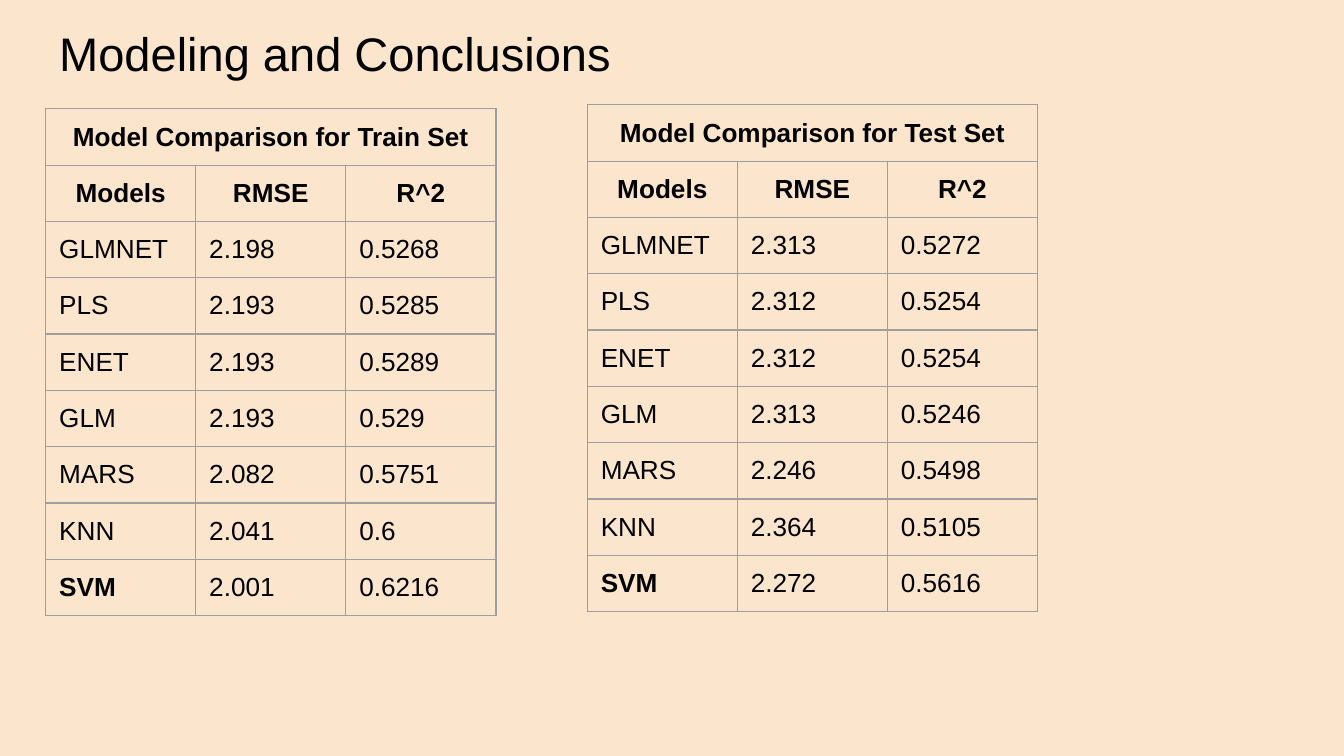
from dataclasses import dataclass

from lxml.etree import SubElement
from pptx import Presentation
from pptx.dml.color import RGBColor
from pptx.enum.shapes import MSO_SHAPE
from pptx.enum.text import MSO_ANCHOR, MSO_AUTO_SIZE, PP_ALIGN
from pptx.oxml.ns import qn
from pptx.util import Inches, Pt


@dataclass(frozen=True)
class Theme:
    font: str = "Arial"
    text: str = "000000"
    backdrop: str = "FCE5CD"
    border: str = "9E9E9E"
    title_size: float = 25.2
    table_size: float = 14
    line_width: float = 0.75


theme = Theme()


def style_paragraph(para, size, bold=False, align=PP_ALIGN.LEFT):
    para.alignment = align
    for span in para.runs:
        span.font.name = theme.font
        span.font.size = Pt(size)
        span.font.bold = bold
        span.font.color.rgb = RGBColor.from_string(theme.text)


def format_cell(cell):
    cell.margin_left = cell.margin_right = Inches(0.1)
    cell.margin_top = cell.margin_bottom = Inches(0.1)
    properties = cell._tc.get_or_add_tcPr()
    for side in ("a:lnL", "a:lnR", "a:lnT", "a:lnB"):
        line = SubElement(properties, qn(side), w=str(Pt(theme.line_width)))
        fill = SubElement(line, qn("a:solidFill"))
        SubElement(fill, qn("a:srgbClr"), val=theme.border)
    cell.fill.background()


# Widescreen page, 16 by 9
deck = Presentation()
deck.slide_width = Inches(10)
deck.slide_height = Inches(10 * 9 / 16)
page = deck.slides.add_slide(deck.slide_layouts[5])

# Full-page backdrop, placed behind the title
backdrop = page.shapes.add_shape(
    MSO_SHAPE.RECTANGLE, 0, 0, deck.slide_width, deck.slide_height)
backdrop.shadow.inherit = False
backdrop.fill.solid()
backdrop.fill.fore_color.rgb = RGBColor.from_string(theme.backdrop)
backdrop.line.color.rgb = RGBColor.from_string(theme.backdrop)
backdrop.line.width = Pt(theme.line_width)
page.shapes.title._element.addprevious(backdrop._element)

# Title
title = page.shapes.title
title.left, title.top = Inches(0.34), Inches(0.08)
title.width, title.height = Inches(9.32), Inches(0.63)
frame = title.text_frame
frame.text = "Modeling and Conclusions"
frame.auto_size = MSO_AUTO_SIZE.NONE
frame.vertical_anchor = MSO_ANCHOR.TOP
frame.margin_left = frame.margin_right = Inches(0.1)
frame.margin_top = frame.margin_bottom = Inches(0.1)
style_paragraph(frame.paragraphs[0], theme.title_size)

# Model scores: heading, left, top, (RMSE, R^2) for each model
models = ["GLMNET", "PLS", "ENET", "GLM", "MARS", "KNN", "SVM"]
headers = ["Models", "RMSE", "R^2"]
best_model = "SVM"
comparisons = [
    ("Model Comparison for Train Set", 0.34, 0.81,
     [("2.198", "0.5268"), ("2.193", "0.5285"), ("2.193", "0.5289"),
      ("2.193", "0.529"), ("2.082", "0.5751"), ("2.041", "0.6"),
      ("2.001", "0.6216")]),
    ("Model Comparison for Test Set", 4.37, 0.78,
     [("2.313", "0.5272"), ("2.312", "0.5254"), ("2.312", "0.5254"),
      ("2.313", "0.5246"), ("2.246", "0.5498"), ("2.364", "0.5105"),
      ("2.272", "0.5616")]),
]
table_width, row_height = 3.35, 0.35

# Comparison tables
for heading, left, top, scores in comparisons:
    rows = [[heading, "", ""], headers]
    rows += [[model, *score] for model, score in zip(models, scores)]
    table = page.shapes.add_table(
        len(rows), len(headers), Inches(left), Inches(top),
        Inches(table_width), Inches(row_height * len(rows))).table
    table.first_row = table.horz_banding = False
    table.cell(0, 0).merge(table.cell(0, len(headers) - 1))
    for row_index, row in enumerate(rows):
        is_header = row_index < 2
        for column_index, value in enumerate(row):
            cell = table.cell(row_index, column_index)
            format_cell(cell)
            if cell.is_spanned:
                continue
            cell.text_frame.text = value
            style_paragraph(
                cell.text_frame.paragraphs[0], theme.table_size,
                bold=is_header or value == best_model,
                align=PP_ALIGN.CENTER if is_header else PP_ALIGN.LEFT)

deck.save("out.pptx")
